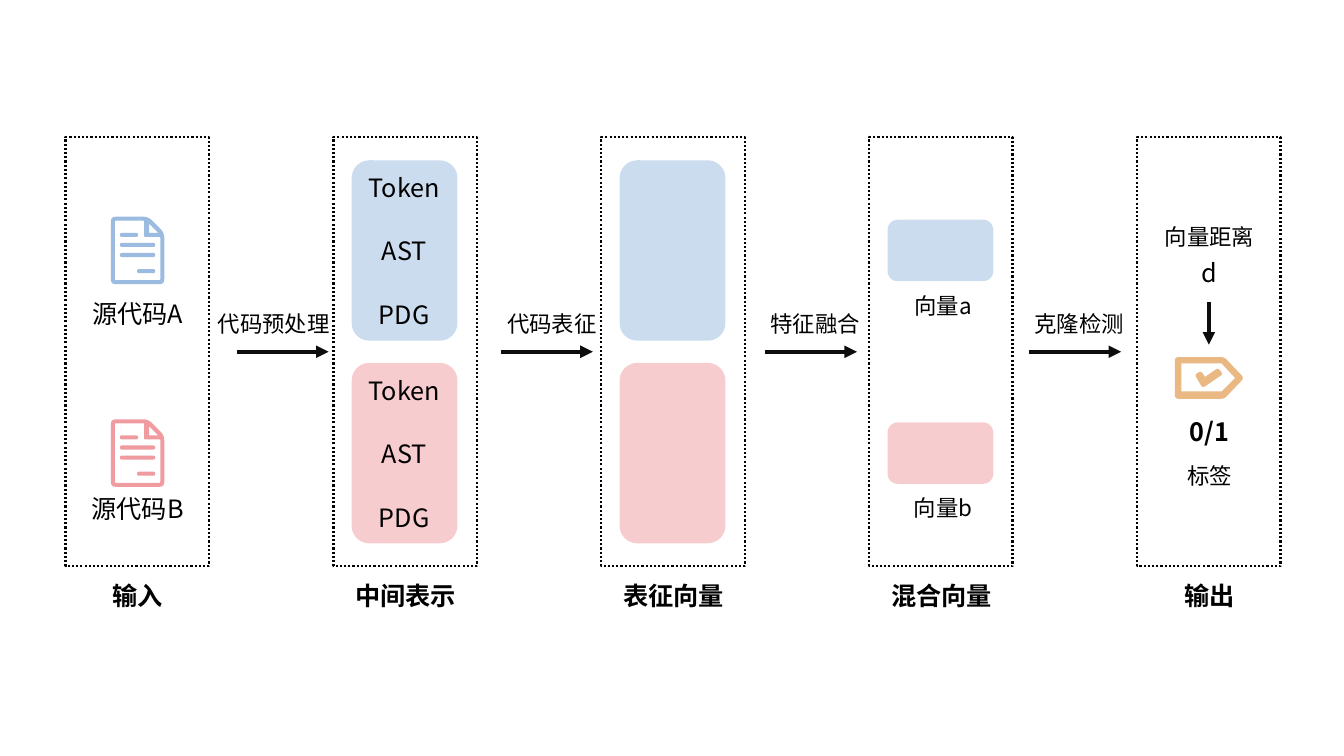
from lxml import etree
from math import dist
from pptx import Presentation
from pptx.dml.color import RGBColor
from pptx.enum.dml import MSO_LINE_DASH_STYLE as DASH
from pptx.enum.shapes import MSO_CONNECTOR, MSO_SHAPE
from pptx.enum.text import MSO_AUTO_SIZE, PP_ALIGN
from pptx.oxml.ns import qn
from pptx.util import Inches, Pt

BLUE = RGBColor(0x9B, 0xBB, 0xE1)
PINK = RGBColor(0xF0, 0x9B, 0xA0)
ORANGE = RGBColor(0xEA, 0xB8, 0x83)
BLACK = RGBColor(0, 0, 0)
ARROW = RGBColor(0x0D, 0x0D, 0x0D)
FONT = "Noto Sans CJK SC"

presentation = Presentation()
presentation.slide_width = Inches(13.33)
presentation.slide_height = Inches(7.5)
slide = presentation.slides.add_slide(presentation.slide_layouts[6])
shapes = slide.shapes


def add_label(text, left, top, width=1.31, size=18, bold=False):
    height = 0.4 if size == 18 else 0.37
    box = shapes.add_textbox(Inches(left), Inches(top), Inches(width), Inches(height))
    box.text_frame.word_wrap = True
    box.text_frame.auto_size = MSO_AUTO_SIZE.SHAPE_TO_FIT_TEXT
    paragraph = box.text_frame.paragraphs[0]
    paragraph.text = text
    paragraph.alignment = PP_ALIGN.CENTER
    font = paragraph.font
    font.size, font.bold, font.name = Pt(size), bold, FONT
    font.color.rgb = BLACK
    # East Asian typeface, for the Chinese characters
    properties = paragraph._p.pPr.find(qn("a:defRPr"))
    etree.SubElement(properties, qn("a:ea")).set("typeface", FONT)


def add_icon(contours, left, top, color):
    """Draw one filled outline; each contour is (points, corner radius)."""
    builder = None
    for points, radius in contours:
        outline = []
        for index, (x, y) in enumerate(points):
            before, after = points[index - 1], points[(index + 1) % len(points)]
            start, end = [
                (x + (px - x) * radius / dist((x, y), (px, py)),
                 y + (py - y) * radius / dist((x, y), (px, py)))
                for px, py in (before, after)]
            for step in range(5):
                t = step / 4
                outline.append(tuple(
                    Inches(origin + (1 - t) ** 2 * a + 2 * t * (1 - t) * corner + t * t * b)
                    for origin, a, corner, b in zip((left, top), start, (x, y), end)))
        if builder is None:
            builder = shapes.build_freeform(*outline[0], scale=1.0)
        else:
            builder.move_to(*outline[0])
        builder.add_line_segments(outline[1:], close=True)
    icon = builder.convert_to_shape()
    icon.shadow.inherit = False
    icon.fill.solid()
    icon.fill.fore_color.rgb = color
    icon.line.fill.background()
    return icon


# Dotted stage frames with their titles
FIRST, LAST = 0.65, 11.28
stages = ["输入", "中间表示", "表征向量", "混合向量", "输出"]
lefts = [FIRST + index * (LAST - FIRST) / 4 for index in range(5)]
for title, left in zip(stages, lefts):
    frame = shapes.add_shape(
        MSO_SHAPE.RECTANGLE, Inches(left), Inches(1.36), Inches(1.42), Inches(4.26))
    frame.shadow.inherit = False
    frame.fill.background()
    frame.line.color.rgb = BLACK
    frame.line.width = Pt(1.5)
    frame.line.dash_style = DASH.ROUND_DOT
    add_label(title, left + 0.06, 5.71, bold=True)

# Arrows between the stages, and the one down to the result
arrows = [(2.35 + 2.62 * index, 3.49, 3.26 + 2.62 * index, 3.49) for index in range(4)]
arrows.append((11.99, 3, 11.99, 3.42))
for ends in arrows:
    arrow = shapes.add_connector(MSO_CONNECTOR.STRAIGHT, *map(Inches, ends))
    arrow.line.color.rgb = ARROW
    arrow.line.width = Pt(3)
    etree.SubElement(arrow.line._get_or_add_ln(), qn("a:tailEnd")).set("type", "triangle")
    etree.SubElement(arrow._element.spPr, qn("a:effectLst"))

# Step names over the arrows
for step_name, left in [("代码预处理", 2.06), ("代码表征", 4.82),
                        ("特征融合", 7.43), ("克隆检测", 10.05)]:
    add_label(step_name, left, 3.03, size=16)

# Page icon: outer edge, inner edge, folded corner and lines of text
page = [
    ([(0, 0), (0.37, 0), (0.53, 0.16), (0.53, 0.67), (0, 0.67)], 0.05),
    ([(0.04, 0.04), (0.33, 0.04), (0.33, 0.2), (0.49, 0.2), (0.49, 0.63), (0.04, 0.63)], 0.01),
    ([(0.38, 0.07), (0.38, 0.16), (0.47, 0.16)], 0),
]
for x, y, width in [(0.09, 0.16, 0.18), (0.09, 0.26, 0.35),
                    (0.09, 0.36, 0.35), (0.26, 0.52, 0.18)]:
    page.append(([(x, y), (x + width, y), (x + width, y + 0.04), (x, y + 0.04)], 0.02))

# Upper row for source A, lower row for source B
rows = [(BLUE, 0, "源代码A", 2.91, "向量a", 2.85),
        (PINK, 2.01, "源代码B", 4.84, "向量b", 4.85)]
for color, drop, source, source_top, vector, vector_top in rows:
    add_icon(page, 1.1, 2.15 + drop, color)
    add_label(source, 0.28, source_top, 2.17)

    for left, top, height in [(lefts[1], 1.59, 1.79), (lefts[2], 1.59, 1.79),
                              (lefts[3], 2.18, 0.61)]:
        block = shapes.add_shape(
            MSO_SHAPE.ROUNDED_RECTANGLE, Inches(left + 0.18), Inches(top + drop),
            Inches(1.05), Inches(height))
        block.shadow.inherit = False
        block.fill.solid()
        block.fill.fore_color.rgb = color
        block.line.fill.background()
        tint = block._element.spPr.find(qn("a:solidFill"))[0]
        etree.SubElement(tint, qn("a:alpha")).set("val", "50000")

    for index, form in enumerate(["Token", "AST", "PDG"]):
        add_label(form, 3.43, 1.66 + drop + 0.63 * index, 1.16)
    add_label(vector, 8.7, vector_top, size=16)

# Output stage: distance, tag icon and label
add_label("向量距离", 11.34, 2.16, size=16)
add_label("d", 11.47, 2.5, 1.05)
tag = [
    ([(0, 0), (0.48, 0), (0.67, 0.2), (0.48, 0.4), (0, 0.4)], 0.03),
    ([(0.05, 0.05), (0.46, 0.05), (0.6, 0.2), (0.46, 0.34), (0.05, 0.34)], 0),
    ([(0.42, 0.11), (0.46, 0.16), (0.27, 0.29), (0.2, 0.17), (0.25, 0.14), (0.29, 0.2)], 0.02),
]
tag_icon = add_icon(tag, 11.66, 3.55, ORANGE)
tag_icon.line.color.rgb = ORANGE
tag_icon.line.width = Pt(1)
add_label("0/1", 11.47, 4.08, 1.05, bold=True)
add_label("标签", 11.34, 4.54, size=16)

presentation.save("out.pptx")
